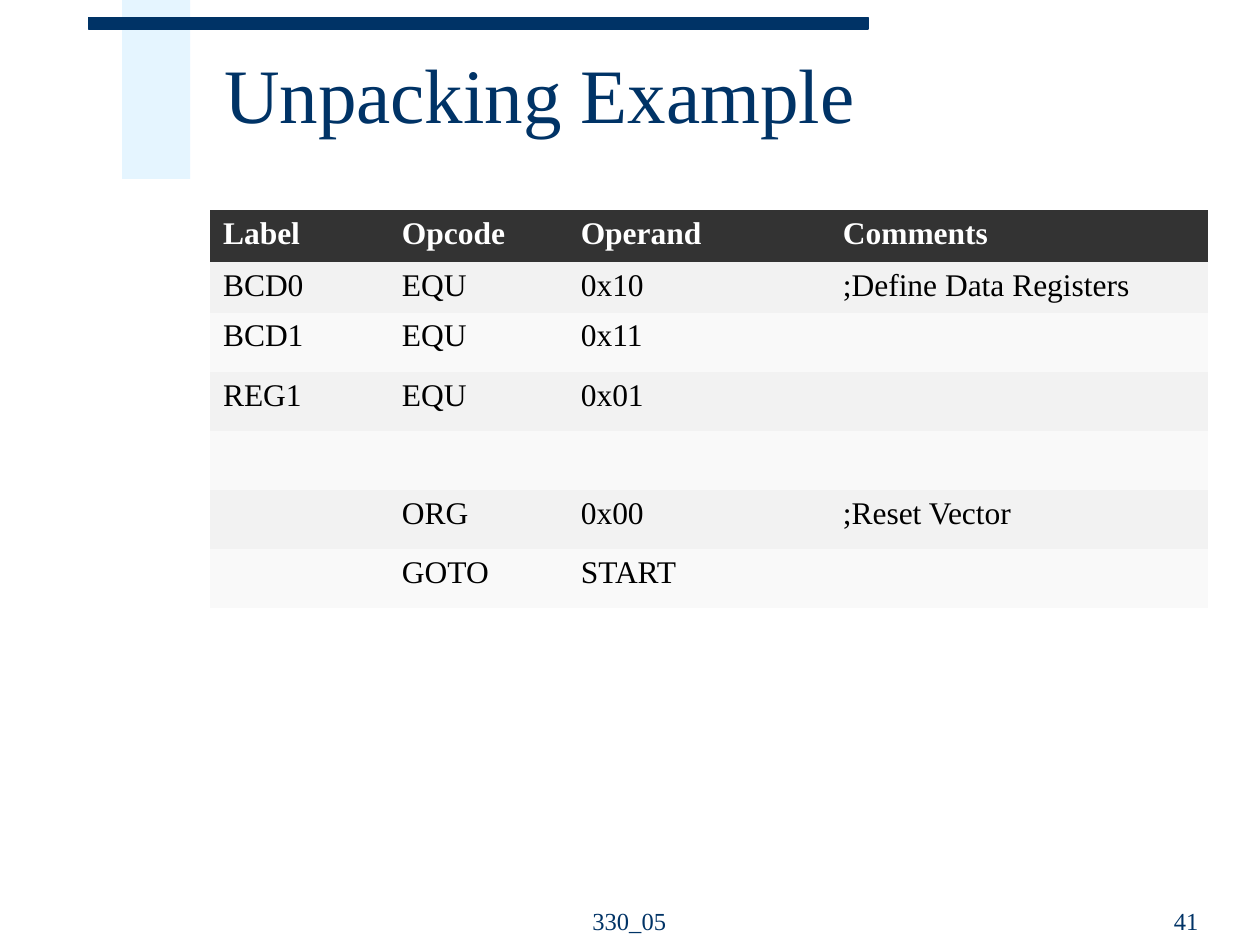
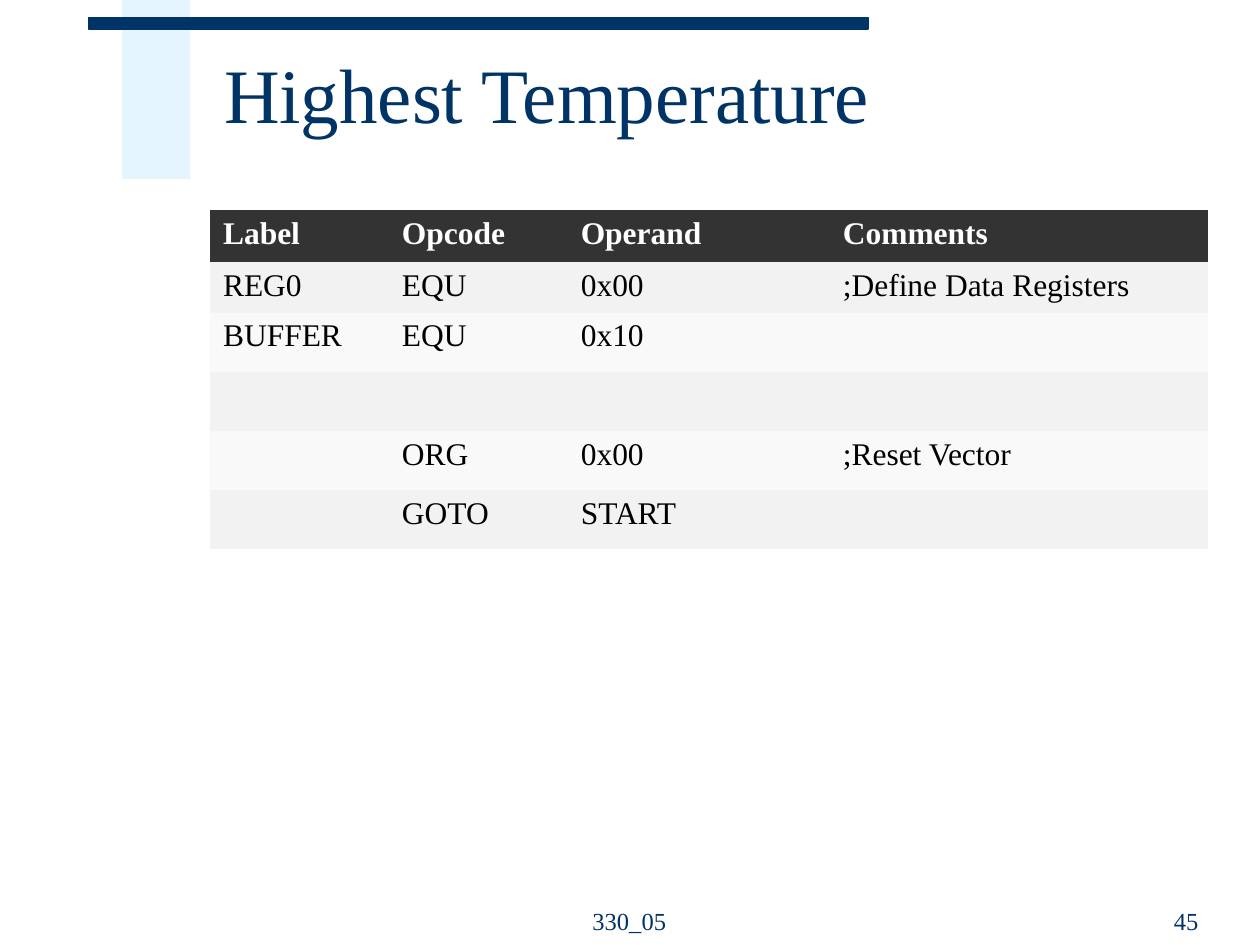
from lxml import etree
from pptx import Presentation
from pptx.dml.color import RGBColor
from pptx.enum import shapes, text
from pptx.oxml.ns import qn
from pptx.util import Inches, Pt

FONT = "Times New Roman"
COLORS = {
    "navy": "003366", "pale_blue": "CCECFF", "header": "333333",
    "odd_row": "F2F2F2", "even_row": "F9F9F9", "white": "FFFFFF", "black": "000000",
}
NO_STYLE_NO_GRID = "{2D5ABB26-0587-4C30-8999-92F81FD0307C}"
COLUMN_WIDTHS = [1.42, 1.42, 2.08, 3.0]
HEADINGS = ["Label", "Opcode", "Operand", "Comments"]
RESET_ROWS = [
    ["", "", "", ""],
    ["", "ORG", "0x00", ";Reset Vector"],
    ["", "GOTO", "START", ""],
]
SLIDES = [
    ("Unpacking Example", "41", [
        ["BCD0", "EQU", "0x10", ";Define Data Registers"],
        ["BCD1", "EQU", "0x11", ""],
        ["REG1", "EQU", "0x01", ""],
    ]),
    ("Highest Temperature", "45", [
        ["REG0", "EQU", "0x00", ";Define Data Registers"],
        ["BUFFER", "EQU", "0x10", ""],
    ]),
]


def style_font(font, size, color, bold=False):
    font.name, font.size, font.bold = FONT, Pt(size), bold
    font.color.rgb = RGBColor.from_string(COLORS[color])


def add_text(slide, box, words, size, anchor, alignment):
    frame = slide.shapes.add_textbox(*map(Inches, box)).text_frame
    frame.word_wrap = True
    frame.vertical_anchor = anchor
    paragraph = frame.paragraphs[0]
    paragraph.text = words
    paragraph.alignment = alignment
    style_font(paragraph.font, size, "navy")
    return paragraph


presentation = Presentation()
presentation.slide_width, presentation.slide_height = Inches(10), Inches(7.5)

for title, number, register_rows in SLIDES:
    slide = presentation.slides.add_slide(presentation.slide_layouts[6])

    # Corner band and top rule
    for box, color in [((0.97, 0, 0.54, 1.42), "pale_blue"), ((0.7, 0.14, 6.19, 0.09), "navy")]:
        shape = slide.shapes.add_shape(shapes.MSO_SHAPE.RECTANGLE, *map(Inches, box))
        shape.shadow.inherit = False
        shape.fill.solid()
        shape.fill.fore_color.rgb = RGBColor.from_string(COLORS[color])
        if color == "pale_blue":
            shape.line.fill.background()
            fill_color = shape.fill._xPr.find(".//" + qn("a:srgbClr"))
            etree.SubElement(fill_color, qn("a:alpha")).set("val", "50000")
        else:
            shape.line.color.rgb = RGBColor.from_string(COLORS[color])
            shape.line.width = Pt(0.75)

    # Title and footers
    heading = add_text(slide, (1.68, 0.17, 8.07, 1.25), title, 44,
                       text.MSO_ANCHOR.MIDDLE, text.PP_ALIGN.LEFT)
    heading.line_spacing = 0.85
    add_text(slide, (4.08, 6.97, 1.83, 0.5), "330_05", 14,
             text.MSO_ANCHOR.BOTTOM, text.PP_ALIGN.CENTER)
    add_text(slide, (7.21, 6.97, 2.4, 0.5), number, 14,
             text.MSO_ANCHOR.BOTTOM, text.PP_ALIGN.RIGHT)

    # Assembly listing; rows with an empty cell are taller
    rows = [HEADINGS] + register_rows + RESET_ROWS
    heights = [0.41, 0.4] + [0.47] * (len(rows) - 2)
    table = slide.shapes.add_table(
        len(rows), len(HEADINGS), Inches(1.67), Inches(1.67),
        Inches(sum(COLUMN_WIDTHS)), Inches(sum(heights))).table
    table._tbl.tblPr.find(qn("a:tableStyleId")).text = NO_STYLE_NO_GRID
    table.horz_banding = False
    for column, width in zip(table.columns, COLUMN_WIDTHS):
        column.width = Inches(width)
    for index, (row, height) in enumerate(zip(rows, heights)):
        table.rows[index].height = Inches(height)
        is_header = index == 0
        band = "header" if is_header else "odd_row" if index % 2 else "even_row"
        for cell, words in zip(table.rows[index].cells, row):
            cell.fill.solid()
            cell.fill.fore_color.rgb = RGBColor.from_string(COLORS[band])
            paragraph = cell.text_frame.paragraphs[0]
            if words:
                paragraph.text = words
            style_font(paragraph.font, 18, "white" if is_header else "black", is_header)

presentation.save("out.pptx")
